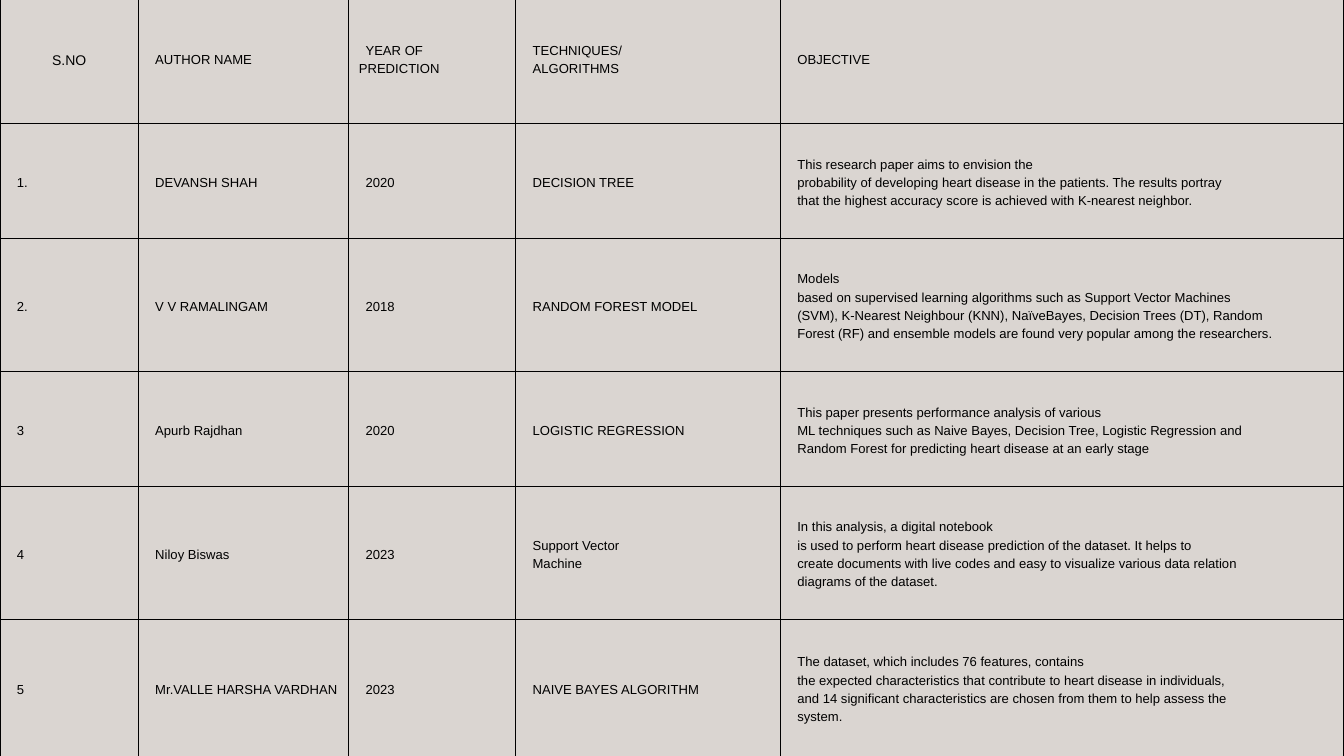
from dataclasses import dataclass
from typing import Any

from lxml.etree import SubElement as Sub
from pptx import Presentation
from pptx.dml.color import RGBColor as RGB
from pptx.enum.text import MSO_ANCHOR as Anchor, PP_ALIGN as Align
from pptx.oxml.ns import qn
from pptx.util import Inches, Pt

# Shares of the slide's width and height, in percent
COLUMNS = [10.3, 15.65, 12.43, 19.7, 41.92]
ROWS = [17.24, 15.2, 17.6, 15.2, 17.6, 18.1]
TABLE_TOP = -0.89

# One tuple per row; each line of a cell is its own paragraph
STUDIES = [
    ("S.NO", "AUTHOR NAME", "YEAR OF PREDICTION", "TECHNIQUES/\nALGORITHMS",
     "OBJECTIVE"),
    ("1.", "DEVANSH SHAH", "2020", "DECISION TREE",
     "This research paper aims to envision the\n"
     "probability of developing heart disease in the patients. The results portray\n"
     "that the highest accuracy score is achieved with K-nearest neighbor."),
    ("2.", "V V RAMALINGAM", "2018", "RANDOM FOREST MODEL",
     "Models\n"
     "based on supervised learning algorithms such as Support Vector Machines\n"
     "(SVM), K-Nearest Neighbour (KNN), NaïveBayes, Decision Trees (DT), Random\n"
     "Forest (RF) and ensemble models are found very popular among the researchers."),
    ("3", "Apurb Rajdhan", "2020", "LOGISTIC REGRESSION",
     "This paper presents performance analysis of various\n"
     "ML techniques such as Naive Bayes, Decision Tree, Logistic Regression and\n"
     "Random Forest for predicting heart disease at an early stage"),
    ("4", "Niloy Biswas", "2023", "Support Vector\nMachine",
     "In this analysis, a digital notebook\n"
     "is used to perform heart disease prediction of the dataset. It helps to\n"
     "create documents with live codes and easy to visualize various data relation\n"
     "diagrams of the dataset."),
    ("5", "Mr.VALLE HARSHA VARDHAN", "2023", "NAIVE BAYES ALGORITHM",
     "The dataset, which includes 76 features, contains\n"
     "the expected characteristics that contribute to heart disease in individuals,\n"
     "and 14 significant characteristics are chosen from them to help assess the\n"
     "system."),
]


def color(hex_code):
    return RGB.from_string(hex_code)


@dataclass
class Sheet:
    """The slide being drawn and the style of its parts."""
    slide: Any
    width: int
    height: int
    font: str = "Arial"
    ink: str = "000000"
    paper: str = "DAD5D1"
    size: float = 14
    leading: float = 1.4
    inset: float = 0.15
    indent: float = 0.1
    rule: float = 1.5

    def x(self, share):
        return round(self.width * share / 100)

    def y(self, share):
        return round(self.height * share / 100)

    def background(self):
        fill = self.slide.background.fill
        fill.solid()
        fill.fore_color.rgb = color(self.paper)

    def table(self, top, columns, rows, texts):
        grid = self.slide.shapes.add_table(
            len(rows), len(columns), 0, self.y(top),
            self.x(sum(columns)), self.y(sum(rows))).table
        grid.first_row = grid.horz_banding = False
        for column, share in zip(grid.columns, columns):
            column.width = self.x(share)
        for row, share, row_texts in zip(grid.rows, rows, texts):
            row.height = self.y(share)
            for cell, text in zip(row.cells, row_texts):
                self.borders(cell)
                self.text(cell, text)
        return grid

    def borders(self, cell):
        props = cell._tc.get_or_add_tcPr()
        for side in ("lnL", "lnR", "lnT", "lnB"):
            line = Sub(props, qn(f"a:{side}"), w=str(Pt(self.rule)))
            Sub(Sub(line, qn("a:solidFill")), qn("a:srgbClr"), val=self.ink)
        cell.fill.background()

    def text(self, cell, text):
        cell.margin_left = cell.margin_right = Inches(self.inset)
        cell.margin_top = cell.margin_bottom = Inches(self.inset)
        cell.vertical_anchor = Anchor.MIDDLE
        cell.text_frame.text = text
        for line in cell.text_frame.paragraphs:
            # Only the first line of a paragraph is indented
            line._p.get_or_add_pPr().set("indent", str(Inches(self.indent)))
            self.format(line, self.size)

    def format(self, line, size):
        line.line_spacing = Pt(size * self.leading)
        for run in line.runs:
            run.font.name = self.font
            run.font.size = Pt(size)
            run.font.color.rgb = color(self.ink)

    def centre(self, cell, size):
        for line in cell.text_frame.paragraphs:
            line._p.get_or_add_pPr().set("indent", "0")
            line.alignment = Align.CENTER
            self.format(line, size)


def main():
    deck = Presentation()
    deck.slide_width, deck.slide_height = Inches(20), Inches(11.25)
    sheet = Sheet(deck.slides.add_slide(deck.slide_layouts[6]),
                  deck.slide_width, deck.slide_height)
    sheet.background()

    # Literature survey, with a larger centred heading for the numbers
    survey = sheet.table(TABLE_TOP, COLUMNS, ROWS, STUDIES)
    sheet.centre(survey.cell(0, 0), 15)

    deck.save("out.pptx")


if __name__ == "__main__":
    main()
